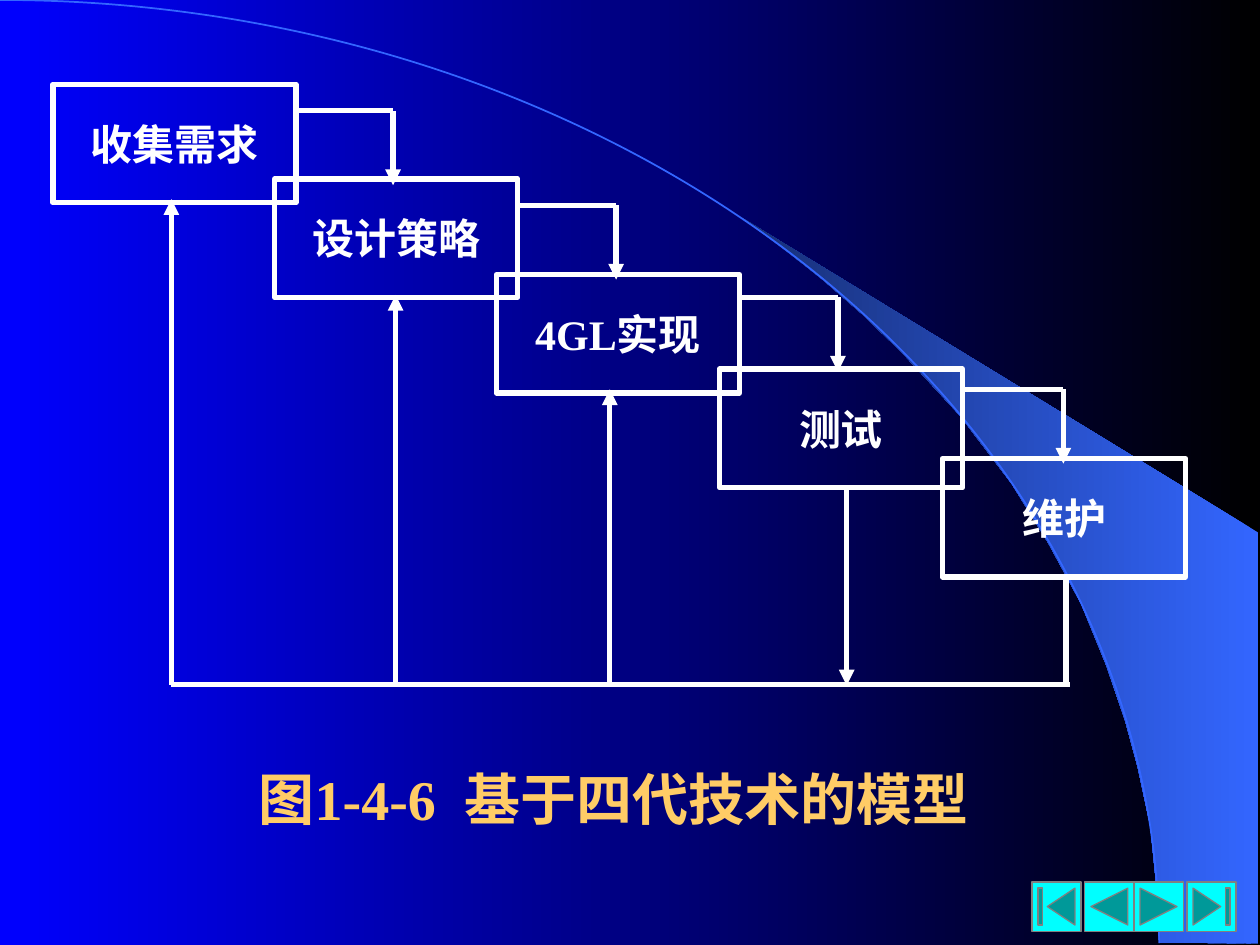
"""Build the slide showing the software model based on fourth-generation techniques."""
from lxml import etree
from pptx import Presentation
from pptx.dml.color import RGBColor
from pptx.enum.shapes import MSO_CONNECTOR, MSO_SHAPE
from pptx.enum.text import MSO_ANCHOR, PP_ALIGN
from pptx.oxml.ns import qn
from pptx.util import Pt

PX = 9144
STRAIGHT = MSO_CONNECTOR.STRAIGHT
RECTANGLE, ARC = MSO_SHAPE.RECTANGLE, MSO_SHAPE.ARC
BUTTONS = (
    MSO_SHAPE.ACTION_BUTTON_BEGINNING,
    MSO_SHAPE.ACTION_BUTTON_BACK_OR_PREVIOUS,
    MSO_SHAPE.ACTION_BUTTON_FORWARD_OR_NEXT,
    MSO_SHAPE.ACTION_BUTTON_END,
)
MIDDLE, CENTER = MSO_ANCHOR.MIDDLE, PP_ALIGN.CENTER

THEME = {
    "night": RGBColor(0x00, 0x00, 0x00),
    "blue": RGBColor(0x00, 0x00, 0xFF),
    "sweep": RGBColor(0x33, 0x66, 0xFF),
    "sweep_dark": RGBColor(0x17, 0x2F, 0x75),
    "ink": RGBColor(0xFF, 0xFF, 0xFF),
    "title": RGBColor(0xFF, 0xCC, 0x66),
    "button": RGBColor(0x00, 0xFF, 0xFF),
    "button_edge": RGBColor(0x80, 0x80, 0x80),
    "title_font": {"name": "Times New Roman", "size": Pt(32), "bold": True},
    "stage_font": {"name": "Times New Roman", "size": Pt(24), "bold": True},
    "frame": {"word_wrap": True, "vertical_anchor": MIDDLE, "margin_left": 0,
              "margin_right": 0, "margin_top": 0, "margin_bottom": 0},
}


def write_text(box, parts, font, color):
    for name, value in THEME["frame"].items():
        setattr(box.text_frame, name, value)
    para = box.text_frame.paragraphs[0]
    para.alignment = CENTER
    spans = []
    for part in parts:
        span = para.add_run()
        span.text = part
        for name, value in THEME[font].items():
            setattr(span.font, name, value)
        span.font.color.rgb = THEME[color]
        spans.append(span)
    return spans


def draw_line(page, x1, y1, x2, y2, arrow=None):
    line = page.shapes.add_connector(STRAIGHT, x1 * PX, y1 * PX, x2 * PX, y2 * PX)
    line.line.color.rgb = THEME["ink"]
    line.line.width = Pt(3)
    if arrow:
        etree.SubElement(line.line._get_or_add_ln(), qn(f"a:{arrow}End"), type="triangle")
    etree.SubElement(line._element.spPr, qn("a:effectLst"))


deck = Presentation()
deck.slide_width, deck.slide_height = 1000 * PX, 750 * PX
page = deck.slides.add_slide(deck.slide_layouts[6])

SWEEP = [
    (920, 748), (999, 749), (999, 423), (589, 173), (624, 199), (653, 222),
    (685, 250), (716, 280), (762, 330), (803, 384), (832, 431), (858, 479),
    (878, 528), (893, 572), (903, 609), (913, 656), (917, 696),
]
builder = page.shapes.build_freeform(*SWEEP[0], scale=PX)
builder.add_line_segments(SWEEP[1:], close=True)
sweep = builder.convert_to_shape()
sweep.shadow.inherit = False
sweep.line.fill.background()

gradients = (
    (page.background.fill, "night", "blue"),
    (sweep.fill, "sweep", "sweep_dark"),
)
for fill, first, last in gradients:
    fill.gradient()
    fill.gradient_angle = 180
    for stop, color in zip(fill.gradient_stops, (first, last)):
        stop.color.rgb = THEME[color]

arc = page.shapes.add_shape(ARC, -920 * PX, 0, 1840 * PX, 1497 * PX)
arc.shadow.inherit = False
arc.fill.background()
arc.line.color.rgb = THEME["sweep"]
arc.line.width = Pt(1)

title = page.shapes.add_textbox(133 * PX, 600 * PX, 708 * PX, 67 * PX)
spans = write_text(title, ("图1-4-6", " ", "基于四代技术的模型"), "title_font", "title")
spans[1].font._element.set("spc", "800")

for kind, left in zip(BUTTONS, (819, 861, 900, 942)):
    button = page.shapes.add_shape(kind, left * PX, 700 * PX, 39 * PX, 39 * PX)
    button.shadow.inherit = False
    button.fill.solid()
    button.fill.fore_color.rgb = THEME["button"]
    button.line.color.rgb = THEME["button_edge"]
    button.line.width = Pt(0.75)

STAGES = (
    ("收集需求", 42, 67),
    ("设计策略", 218, 142),
    ("4GL实现", 394, 218),
    ("测试", 571, 293),
    ("维护", 748, 364),
)
for label, left, top in STAGES:
    stage = page.shapes.add_shape(RECTANGLE, left * PX, top * PX, 193 * PX, 94 * PX)
    stage.shadow.inherit = False
    stage.fill.background()
    stage.line.color.rgb = THEME["ink"]
    stage.line.width = Pt(3)
    write_text(stage, (label,), "stage_font", "ink")

RETURN_Y = 543
draw_line(page, 136, RETURN_Y, 849, RETURN_Y)
RETURNS = (
    (136, 158, "head"),
    (314, 234, "head"),
    (484, 309, "head"),
    (672, 387, "tail"),
    (846, 458, None),
)
for x, top, arrow in RETURNS:
    draw_line(page, x, top, x, RETURN_Y + 1, arrow)

for x, y in ((234, 88), (411, 163), (587, 236), (766, 309)):
    draw_line(page, x, y, x + 78, y)
    draw_line(page, x + 78, y, x + 78, y + 59, "tail")

deck.save("out.pptx")
